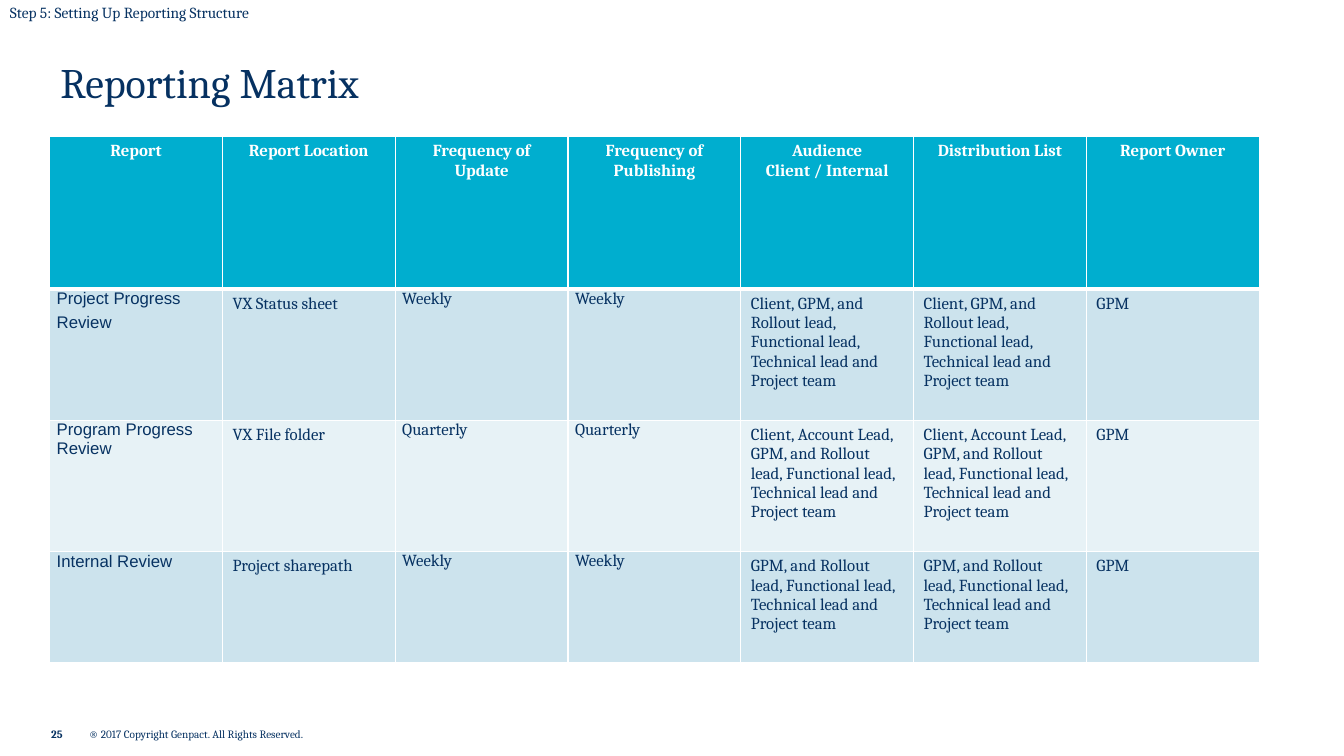
import dataclasses

import pptx
import pptx.dml.color
import pptx.enum.text
import pptx.oxml
import pptx.oxml.ns
import pptx.util

Pt = pptx.util.Pt
Align = pptx.enum.text.PP_ALIGN
Anchor = pptx.enum.text.MSO_ANCHOR


@dataclasses.dataclass(frozen=True)
class Theme:
    serif: str = "Cambria"
    sans: str = "Arial"
    navy: str = "073262"
    title_navy: str = "063161"
    white: str = "FFFFFF"
    header_fill: str = "00AECF"
    band_fills: tuple = ("CCE3ED", "E7F2F6")
    title_size: float = 30
    table_size: float = 12
    step_size: float = 11
    footer_size: float = 8


THEME = Theme()

HEADINGS = [
    "Report", "Report Location", "Frequency of Update", "Frequency of Publishing",
    "Audience\nClient / Internal", "Distribution List", "Report Owner",
]
PROJECT_AUDIENCE = "GPM, and Rollout lead, Functional lead, Technical lead and Project team"
REPORTS = [
    ("Project Progress\nReview", "VX Status sheet", "Weekly", "Client, " + PROJECT_AUDIENCE),
    ("Program Progress Review", "VX File folder", "Quarterly",
     "Client, Account Lead, " + PROJECT_AUDIENCE),
    ("Internal Review", "Project sharepath", "Weekly", PROJECT_AUDIENCE),
]
ROW_HEIGHTS = [109, 93.8, 93.8, 79]


def rgb(color):
    return pptx.dml.color.RGBColor.from_string(color)


def write(frame, text, size, color=THEME.navy, font=THEME.serif, bold=False, align=Align.LEFT):
    frame.word_wrap = True
    for index, line in enumerate(text.split("\n")):
        paragraph = frame.add_paragraph() if index else frame.paragraphs[0]
        paragraph.alignment = align
        run = paragraph.add_run()
        run.text = line
        run.font.name = font
        run.font.size = Pt(size)
        run.font.bold = bold
        run.font.color.rgb = rgb(color)


def add_label(slide, box, text, size, inset=(7.2, 3.6), anchor=Anchor.MIDDLE, **style):
    frame = slide.shapes.add_textbox(*map(Pt, box)).text_frame
    frame.margin_left = frame.margin_right = Pt(inset[0])
    frame.margin_top = frame.margin_bottom = Pt(inset[1])
    frame.vertical_anchor = anchor
    write(frame, text, size, **style)


def add_heading(slide, box):
    left, top, width, height = box
    add_label(slide, (left, top, 392, 21), "Step 5: Setting Up Reporting Structure",
              THEME.step_size, anchor=Anchor.TOP)
    add_label(slide, (left + 36, top + 39, width - 391, height - 39), "Reporting Matrix",
              THEME.title_size, color=THEME.title_navy)


def set_borders(cell, bottom_width):
    properties = cell._tc.get_or_add_tcPr()
    for index, (side, width) in enumerate(
            [("lnL", 1), ("lnR", 1), ("lnT", 1), ("lnB", bottom_width)]):
        properties.insert(index, pptx.oxml.parse_xml(
            f'<a:{side} {pptx.oxml.ns.nsdecls("a")} w="{Pt(width)}"><a:solidFill>'
            f'<a:srgbClr val="{THEME.white}"/></a:solidFill></a:{side}>'))


def fill_cell(cell, text, fill, bottom_width=1, tight=False, **style):
    cell.fill.solid()
    cell.fill.fore_color.rgb = rgb(fill)
    set_borders(cell, bottom_width)
    cell.margin_left = cell.margin_right = Pt(5 if tight else 7.2)
    cell.margin_top = cell.margin_bottom = Pt(0 if tight else 3.6)
    write(cell.text_frame, text, THEME.table_size, **style)


def add_matrix(slide, box):
    matrix = slide.shapes.add_table(len(REPORTS) + 1, len(HEADINGS), *map(Pt, box)).table
    for column in matrix.columns:
        column.width = Pt(box[2] / len(HEADINGS))
    for row, height in zip(matrix.rows, ROW_HEIGHTS):
        row.height = Pt(height)
    for column, heading in enumerate(HEADINGS):
        fill_cell(matrix.cell(0, column), heading, THEME.header_fill, bottom_width=3,
                  color=THEME.white, bold=True, align=Align.CENTER)
    for row, (report, location, frequency, audience) in enumerate(REPORTS, 1):
        fill = THEME.band_fills[(row - 1) % 2]
        entries = [report, location, frequency, frequency, audience, audience, "GPM"]
        for column, entry in enumerate(entries):
            fill_cell(matrix.cell(row, column), entry, fill, tight=column in (0, 2, 3),
                      font=THEME.serif if column else THEME.sans)
    review_line = matrix.cell(1, 0).text_frame.paragraphs[1]
    review_line.line_spacing = Pt(14)
    review_line.space_before = review_line.space_after = Pt(3)


def add_footer(slide, box):
    left, top, width, height = box
    add_label(slide, (left, top, 26, height), "25", THEME.footer_size, inset=(0, 0), bold=True)
    add_label(slide, (left + 27, top, width - 27, height),
              "® 2017 Copyright Genpact. All Rights Reserved.", THEME.footer_size, inset=(0, 0))


def main():
    deck = pptx.Presentation()
    deck.slide_width, deck.slide_height = Pt(960), Pt(540)
    slide = deck.slides.add_slide(deck.slide_layouts[6])
    add_footer(slide, (36.5, 515.5, 213, 17))
    add_heading(slide, (0, -1.5, 960, 81))
    add_matrix(slide, (35.5, 97.5, 864, sum(ROW_HEIGHTS)))
    deck.save("out.pptx")


if __name__ == "__main__":
    main()
